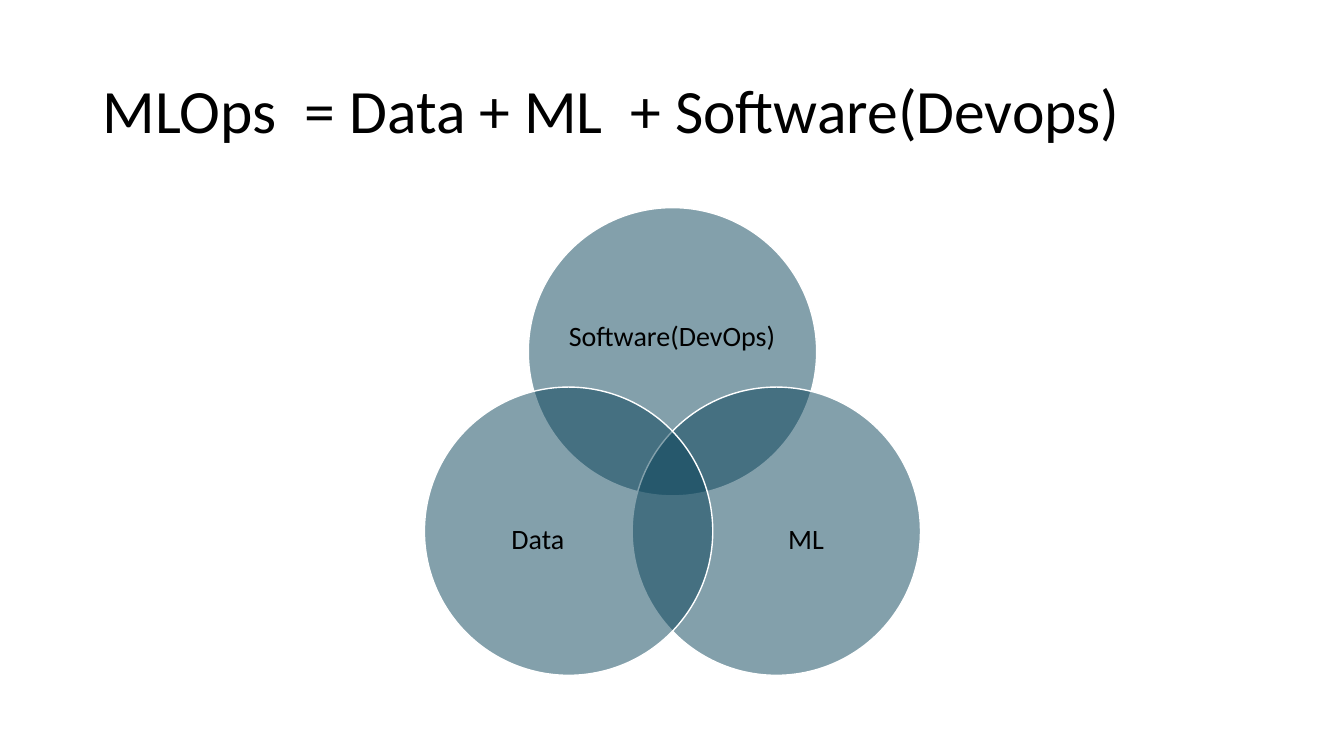
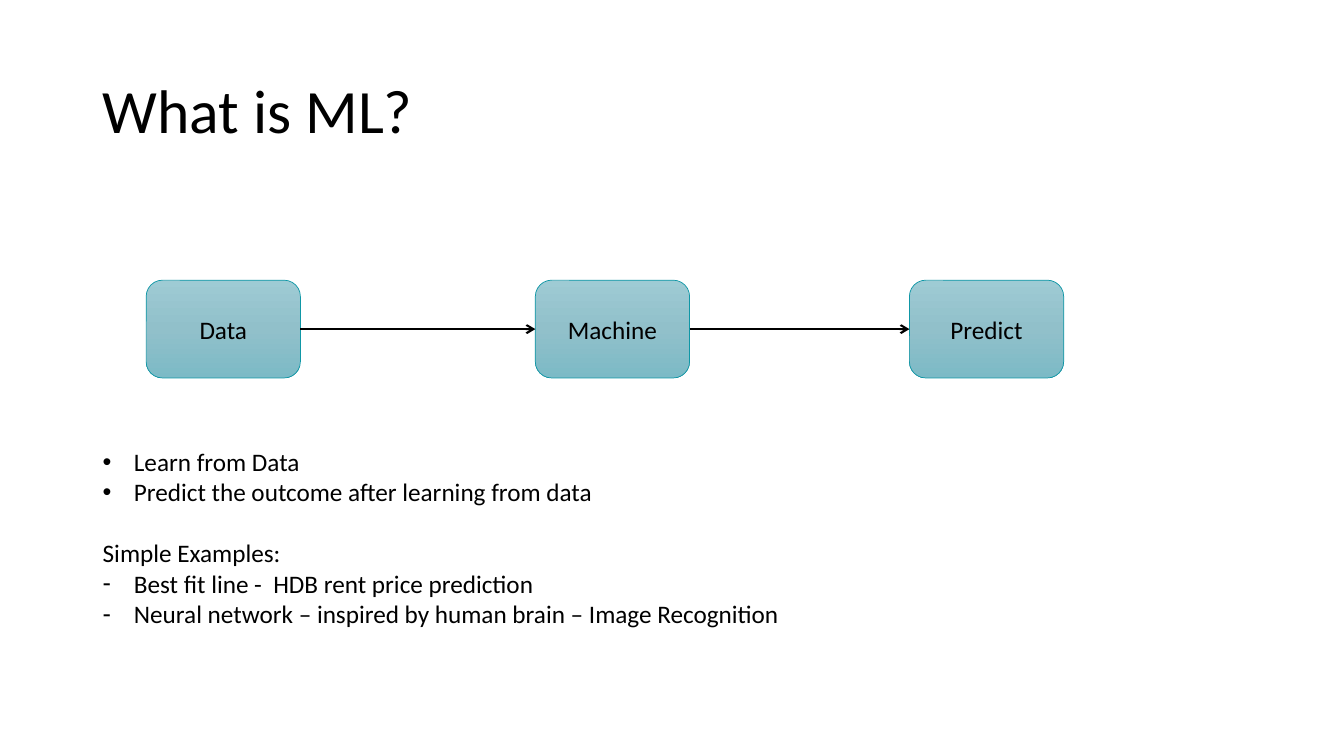
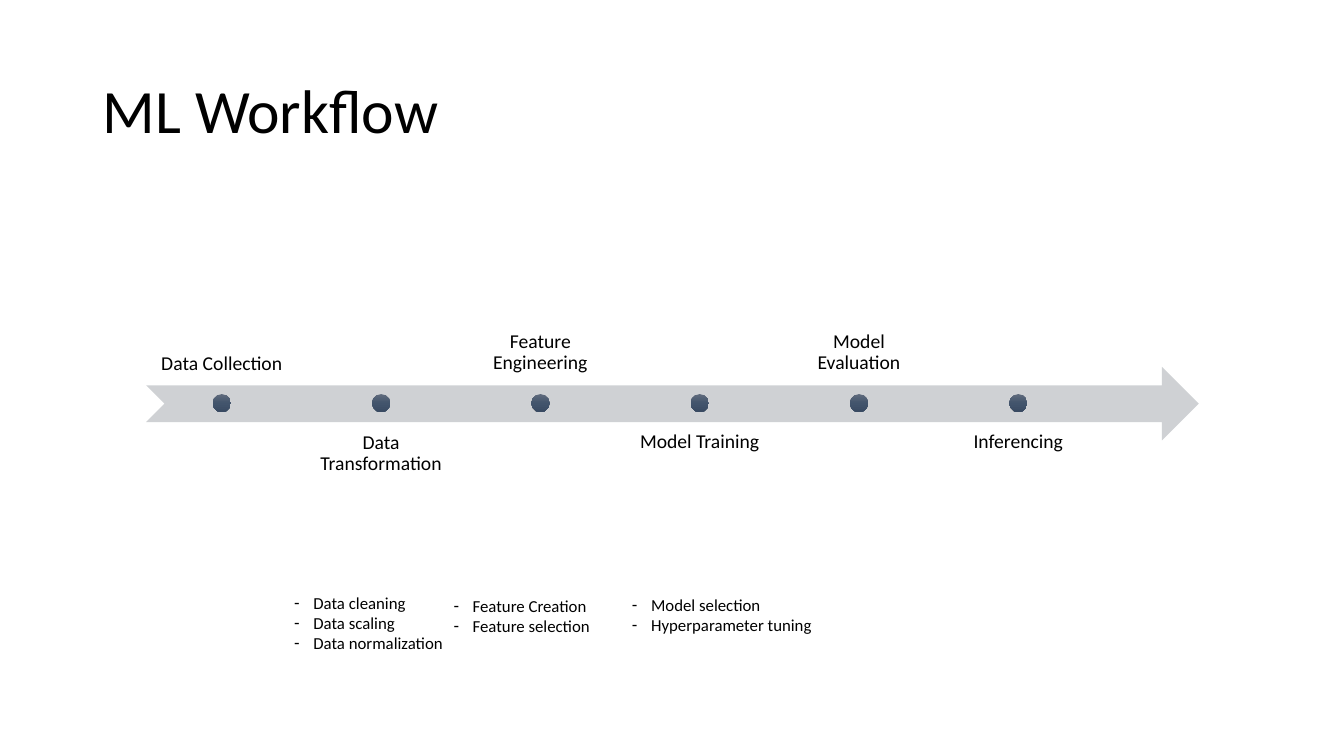
from lxml import etree
from pptx import Presentation
from pptx.dml.color import RGBColor
from pptx.enum.shapes import MSO_CONNECTOR, MSO_SHAPE
from pptx.enum.text import MSO_ANCHOR, PP_ALIGN
from pptx.oxml.ns import qn
from pptx.util import Inches, Pt

OVAL = MSO_SHAPE.OVAL
ROUND = MSO_SHAPE.ROUNDED_RECTANGLE
ARROW = MSO_SHAPE.NOTCHED_RIGHT_ARROW
STRAIGHT = MSO_CONNECTOR.STRAIGHT
LEFT, CENTER = PP_ALIGN.LEFT, PP_ALIGN.CENTER
TOP, MIDDLE, BOTTOM = MSO_ANCHOR.TOP, MSO_ANCHOR.MIDDLE, MSO_ANCHOR.BOTTOM

FONT = "Calibri"
COLORS = {
    "text": "000000", "venn": "084259", "ring": "FFFFFF",
    "edge": "0F97A6", "band": "CFD1D4",
}
BOX_FADE = ["9ECBD4", "91C0CA", "7CBAC6"]
DOT_FADE = ["606B7D", "42546C", "394A62"]
INSETS = (0.1, 0.05, 0.1, 0.05)


def color(name):
    return RGBColor.from_string(COLORS[name])


def bullet(para, mark, indent):
    props = para._p.get_or_add_pPr()
    props.set("marL", str(Inches(indent)))
    props.set("indent", str(-Inches(indent)))
    etree.SubElement(props, qn("a:buFont"), typeface="Arial")
    etree.SubElement(props, qn("a:buChar"), char=mark)


def write(shape, lines, size=18, align=LEFT, anchor=TOP, spacing=None,
          insets=INSETS, indent=0.31):
    """Each line is a text, or a (text, bullet mark, space before) tuple."""
    frame = shape.text_frame
    frame.word_wrap = True
    frame.vertical_anchor = anchor
    (frame.margin_left, frame.margin_top,
     frame.margin_right, frame.margin_bottom) = map(Inches, insets)
    if isinstance(lines, str):
        lines = [(lines, None, 0)]
    for num, (text, mark, gap) in enumerate(lines):
        para = frame.add_paragraph() if num else frame.paragraphs[0]
        para.alignment = align
        para.space_before = Pt(gap)
        if spacing:
            para.line_spacing = spacing
        if mark:
            bullet(para, mark, indent)
        run = para.add_run()
        run.text = text
        run.font.name = FONT
        run.font.size = Pt(size)
        run.font.color.rgb = color("text")


def label(slide, box, lines, **style):
    write(slide.shapes.add_textbox(*map(Inches, box)), lines, **style)


def fade(shape, stops):
    """Fill from top to bottom with evenly spaced colours."""
    shape.fill.gradient()
    shape.fill.gradient_angle = 270
    steps = shape._element.spPr.find(qn("a:gradFill")).find(qn("a:gsLst"))
    for old in list(steps):
        steps.remove(old)
    for num, value in enumerate(stops):
        pos = 100000 * num // (len(stops) - 1)
        stop = etree.SubElement(steps, qn("a:gs"), pos=str(pos))
        etree.SubElement(stop, qn("a:srgbClr"), val=value)


def draw(slide, kind, box, fill=None, stops=None, alpha=None, edge=None,
         width=1):
    shape = slide.shapes.add_shape(kind, *map(Inches, box))
    shape.shadow.inherit = False
    if stops:
        fade(shape, stops)
    else:
        shape.fill.solid()
        shape.fill.fore_color.rgb = color(fill)
    if alpha:
        tint = shape._element.spPr.find(qn("a:solidFill"))[0]
        etree.SubElement(tint, qn("a:alpha"), val=str(alpha * 1000))
    if edge:
        shape.line.color.rgb = color(edge)
        shape.line.width = Pt(width)
    else:
        shape.line.fill.background()
    return shape


def link(slide, start, end, y):
    line = slide.shapes.add_connector(
        STRAIGHT, Inches(start), Inches(y), Inches(end), Inches(y))
    line.line.color.rgb = color("text")
    line.line.width = Pt(1.5)
    etree.SubElement(line.line._get_or_add_ln(), qn("a:tailEnd"), type="arrow")
    etree.SubElement(line._element.spPr, qn("a:effectLst"))


def page(deck, title):
    slide = deck.slides.add_slide(deck.slide_layouts[6])
    label(slide, (0.92, 0.4, 11.5, 1.45), title,
          size=44, anchor=MIDDLE, spacing=0.9)
    return slide


def venn(deck):
    slide = page(deck, "MLOps  = Data + ML  + Software(Devops)")
    size = 2.86
    side = (1.71, 1.57)
    flat = (0, 0, 0, 0)
    # Circle corner, label box, label insets
    sets = [
        ("Software(DevOps)", (5.24, 2.06), (5.62, 2.56, 2.09, 1.28),
         (0, 0.3, 0, 0)),
        ("ML", (6.27, 3.84), (7.14, 4.58, *side), flat),
        ("Data", (4.21, 3.84), (4.48, 4.58, *side), flat),
    ]
    for text, corner, box, insets in sets:
        draw(slide, OVAL, (*corner, size, size), fill="venn", alpha=50,
             edge="ring")
        label(slide, box, text, size=20, align=CENTER, anchor=MIDDLE,
              spacing=0.9, insets=insets)


def basics(deck):
    slide = page(deck, "What is ML?")
    # Boxes joined by arrows
    top, width, height = 2.78, 1.53, 0.97
    lefts = [1.45, 5.31, 9.02]
    for left, text in zip(lefts, ["Data", "Machine", "Predict"]):
        box = draw(slide, ROUND, (left, top, width, height), stops=BOX_FADE,
                   edge="edge", width=0.5)
        write(box, text, align=CENTER, anchor=MIDDLE)
    for left, after in zip(lefts, lefts[1:]):
        link(slide, left + width, after, top + height / 2)
    # Points and examples
    label(slide, (0.92, 4.38, 7.01, 1.92), [
        ("Learn from Data", "•", 0),
        ("Predict the outcome after learning from data", "•", 0),
        ("Simple Examples:", None, 22),
        ("Best fit line -  HDB rent price prediction", "-", 0),
        ("Neural network – inspired by human brain – Image Recognition",
         "-", 0),
    ])


def flow(deck):
    slide = page(deck, "ML Workflow")
    # Timeline with labels above and below in turn
    left, pitch, width, dot = 1.45, 1.58, 1.5, 0.18
    draw(slide, ARROW, (left, 3.64, 10.44, 0.73), fill="band")
    steps = ["Data Collection", "Data Transformation", "Feature Engineering",
             "Model Training", "Model Evaluation", "Inferencing"]
    for num, text in enumerate(steps):
        x = left + num * pitch
        y, anchor = (4.18, TOP) if num % 2 else (3.09, BOTTOM)
        label(slide, (x, y, width, 0.73), text, size=14, align=CENTER,
              anchor=anchor, spacing=0.9, insets=(0.11,) * 4)
        draw(slide, OVAL, (x + (width - dot) / 2, 3.91, dot, dot),
             stops=DOT_FADE)
    # Details of the middle steps
    notes = [
        ((2.82, 5.83, 2.13, 0.71),
         ["Data cleaning", "Data scaling", "Data normalization"]),
        ((6.17, 5.85, 2.03, 0.5),
         ["Model selection", "Hyperparameter tuning"]),
        ((4.4, 5.86, 2.44, 0.5), ["Feature Creation", "Feature selection"]),
    ]
    for box, items in notes:
        label(slide, box, [(item, "-", 0) for item in items],
              size=12, indent=0.19)


def main():
    deck = Presentation()
    deck.slide_width, deck.slide_height = Inches(13.33), Inches(7.5)
    venn(deck)
    basics(deck)
    flow(deck)
    deck.save("out.pptx")


main()
